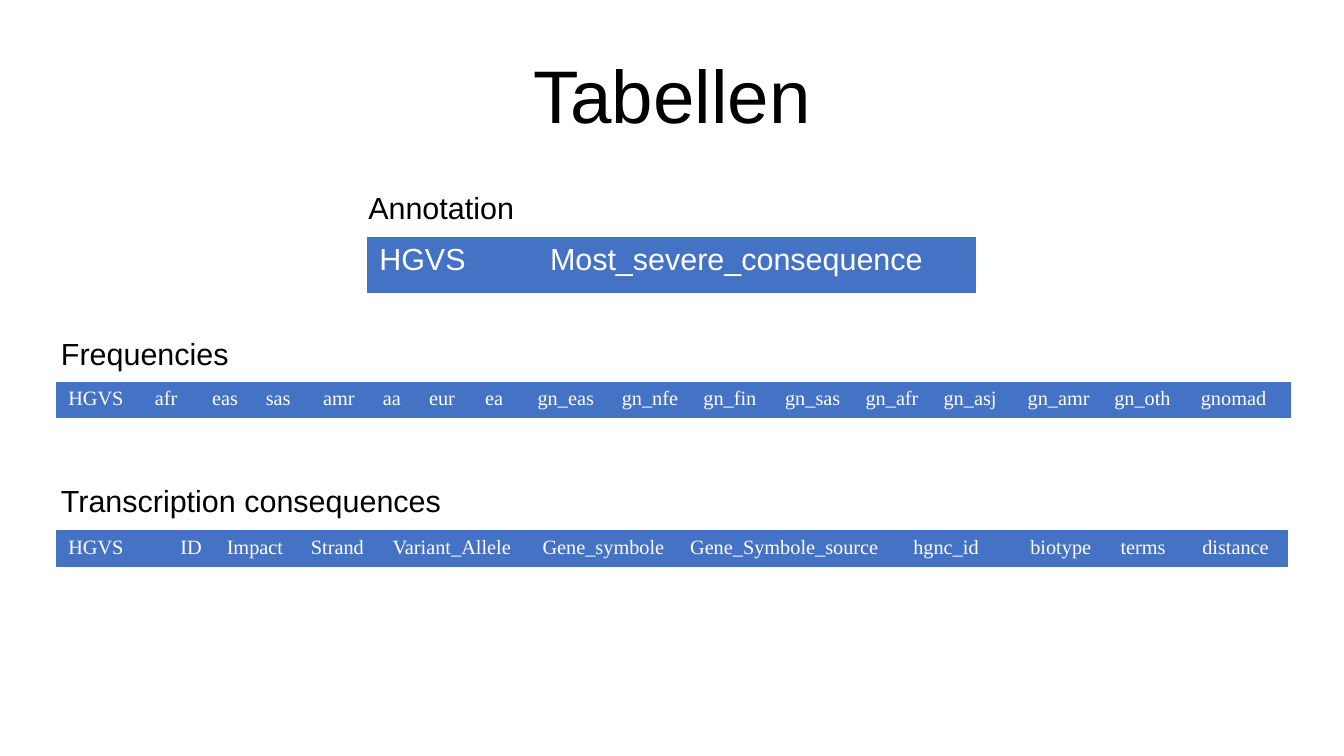
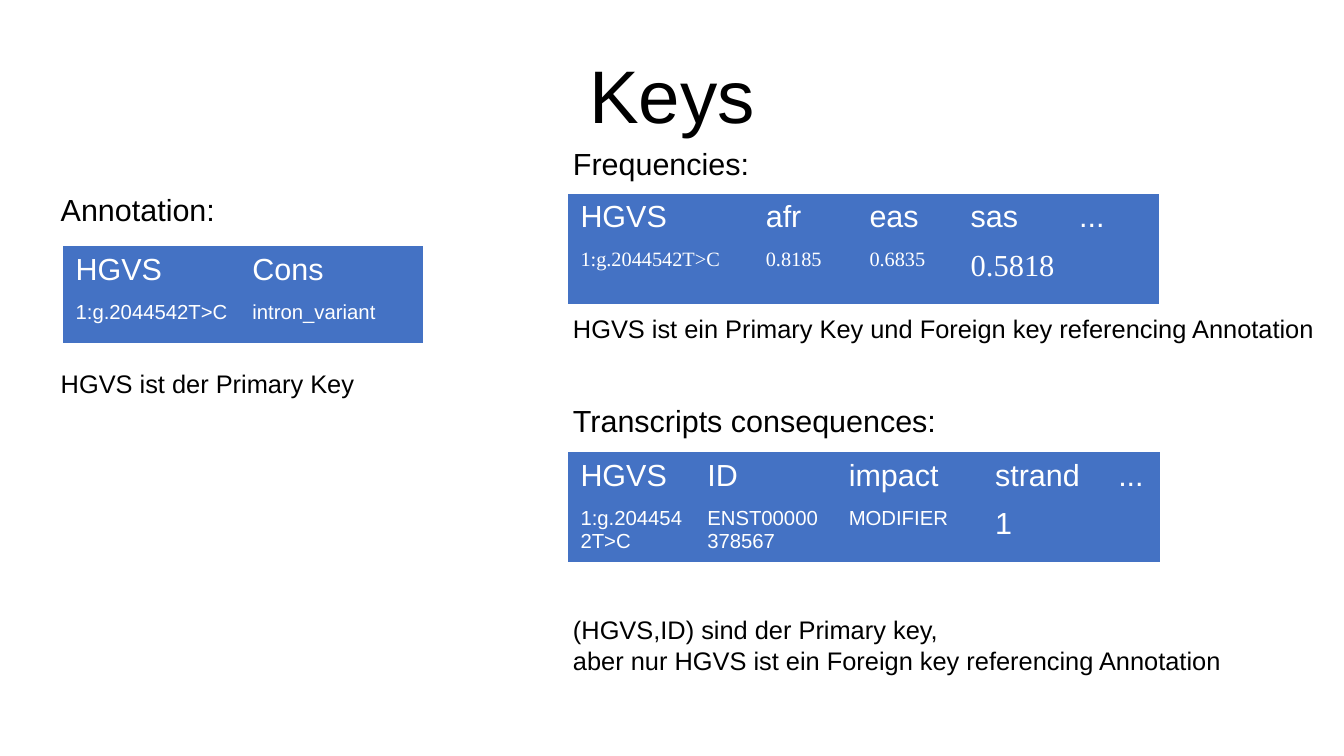
from dataclasses import dataclass

from pptx import Presentation
from pptx.dml.color import RGBColor
from pptx.enum.text import MSO_ANCHOR, PP_ALIGN
from pptx.util import Inches, Pt


@dataclass(frozen=True)
class Theme:
    ink: str = "000000"
    pale: str = "FFFFFF"
    band: str = "4472C4"
    sans: str = "Arial"
    serif: str = "Times New Roman"
    title: int = 44
    head: int = 18
    note: int = 15
    small: int = 12
    plain: str = "{2D5ABB26-0587-4C30-8999-92F81FD0307C}"


THEME = Theme()
COLS, ROWS = 110.2, 62  # grid of the slide
STEP = 0.1  # inches per column and per row


def size(steps):
    """Turn grid steps into a length."""
    return Inches(round(steps * STEP, 3))


def write(frame, text, font=THEME.sans, pt=THEME.head, color=THEME.ink,
          align=PP_ALIGN.LEFT):
    """Fill a text frame, one paragraph per line of text."""
    for num, line in enumerate(text.split("\n")):
        para = frame.add_paragraph() if num else frame.paragraphs[0]
        para.alignment = align
        run = para.add_run()
        run.text = line
        run.font.name = font
        run.font.size = Pt(pt)
        run.font.bold = False
        run.font.color.rgb = RGBColor.from_string(color)


class Deck:
    def __init__(self, theme):
        self.theme = theme
        self.file = Presentation()
        self.file.slide_width = size(COLS)
        self.file.slide_height = size(ROWS)

    def page(self, title):
        self.slide = self.file.slides.add_slide(self.file.slide_layouts[6])
        frame = self.box(5.5, 2.5, 99.2, 10.4)
        frame.vertical_anchor = MSO_ANCHOR.MIDDLE
        write(frame, title, pt=self.theme.title, align=PP_ALIGN.CENTER)

    def box(self, x, y, wide, high, pad=0.0):
        shape = self.slide.shapes.add_textbox(
            size(x), size(y), size(wide), size(high))
        frame = shape.text_frame
        frame.word_wrap = True
        frame.margin_left = size(pad)
        frame.margin_right = 0
        return frame

    def label(self, x, y, wide, text, pad=1.0):
        write(self.box(x, y, wide, 3.8, pad), text)

    def note(self, x, y, wide, text):
        write(self.box(x, y, wide, 5.7, 1.0), text, pt=self.theme.note)

    def table(self, x, y, cols, rows, cells, fonts, sizes, large=()):
        """Draw a table; fonts and sizes go by row, large lists big cells."""
        look = self.theme
        shape = self.slide.shapes.add_table(
            len(rows), len(cols), size(x), size(y),
            size(sum(cols)), size(sum(rows)))
        table = shape.table
        table.first_row = table.horz_banding = False
        table._tbl.tblPr[0].text = look.plain
        for col, wide in zip(table.columns, cols):
            col.width = size(wide)
        for r, line in enumerate(cells):
            table.rows[r].height = size(rows[r])
            for c, text in enumerate(line):
                cell = table.cell(r, c)
                cell.fill.solid()
                cell.fill.fore_color.rgb = RGBColor.from_string(look.band)
                if text:
                    pt = look.head if (r, c) in large else sizes[r]
                    write(cell.text_frame, text, font=fonts[r], pt=pt,
                          color=look.pale)


def schema(deck):
    look = deck.theme
    deck.page("Tabellen")
    deck.label(30, 15, 51, "Annotation", pad=0.2)
    deck.table(30.1, 19.4, [14, 35.9], [4.6],
               [["HGVS", "Most_severe_consequence"]],
               [look.sans], [look.head])
    wide = [
        (27, "Frequencies", 31.3,
         [7.1, 4.7, 4.4, 4.7, 4.9, 3.8, 4.6, 4.3, 6.9, 6.7, 6.7, 6.6, 6.4,
          6.9, 7.1, 7.1, 8.4],
         "HGVS afr eas sas amr aa eur ea gn_eas gn_nfe gn_fin gn_sas "
         "gn_afr gn_asj gn_amr gn_oth gnomad"),
        (39, "Transcription consequences", 43.5,
         [9.2, 3.8, 6.9, 6.7, 12.3, 12.1, 18.3, 9.6, 7.4, 6.7, 8],
         "HGVS ID Impact Strand Variant_Allele Gene_symbole "
         "Gene_Symbole_source hgnc_id biotype terms distance"),
    ]
    for top, name, y, cols, fields in wide:
        deck.label(5, top, 38, name, pad=0)
        deck.table(4.6, y, cols, [3], [fields.split()],
                   [look.serif], [look.small])


def keys(deck):
    look = deck.theme
    sizes = [look.head, look.small]
    left, right, mark = 4, 46, "1:g.2044542T>C"
    plain, mixed = [look.sans] * 2, [look.sans, look.serif]

    deck.page("Keys")
    deck.label(left, 15.2, 20, "Annotation:")
    deck.table(5.2, 20.2, [14.5, 15], [3.9, 3.9],
               [["HGVS", "Cons"], [mark, "intron_variant"]], plain, sizes)
    deck.note(left, 29.7, 29, "HGVS ist der Primary Key")

    parts = [
        (11.4, "Frequencies:", 15.9, [15.2, 8.5, 8.3, 8.9, 7.5],
         [["HGVS", "afr", "eas", "sas", "..."],
          [mark, "0.8185", "0.6835", "0.5818", ""]], mixed,
         25.2, "HGVS ist ein Primary Key und Foreign key referencing "
         "Annotation"),
        (32.5, "Transcripts consequences:", 37.1, [10.4, 11.6, 12, 10.1, 4.4],
         [["HGVS", "ID", "impact", "strand", "..."],
          [mark, "ENST00000378567", "MODIFIER", "1", ""]], plain,
         49.9, "(HGVS,ID) sind der Primary key,\n"
         "aber nur HGVS ist ein Foreign key referencing Annotation"),
    ]
    for top, name, y, cols, cells, fonts, foot, text in parts:
        deck.label(right, top, 48, name)
        deck.table(46.6, y, cols, [4, 5], cells, fonts, sizes, {(1, 3)})
        deck.note(right, foot, 63, text)


def main():
    deck = Deck(THEME)
    schema(deck)
    keys(deck)
    deck.file.save("out.pptx")


if __name__ == "__main__":
    main()
